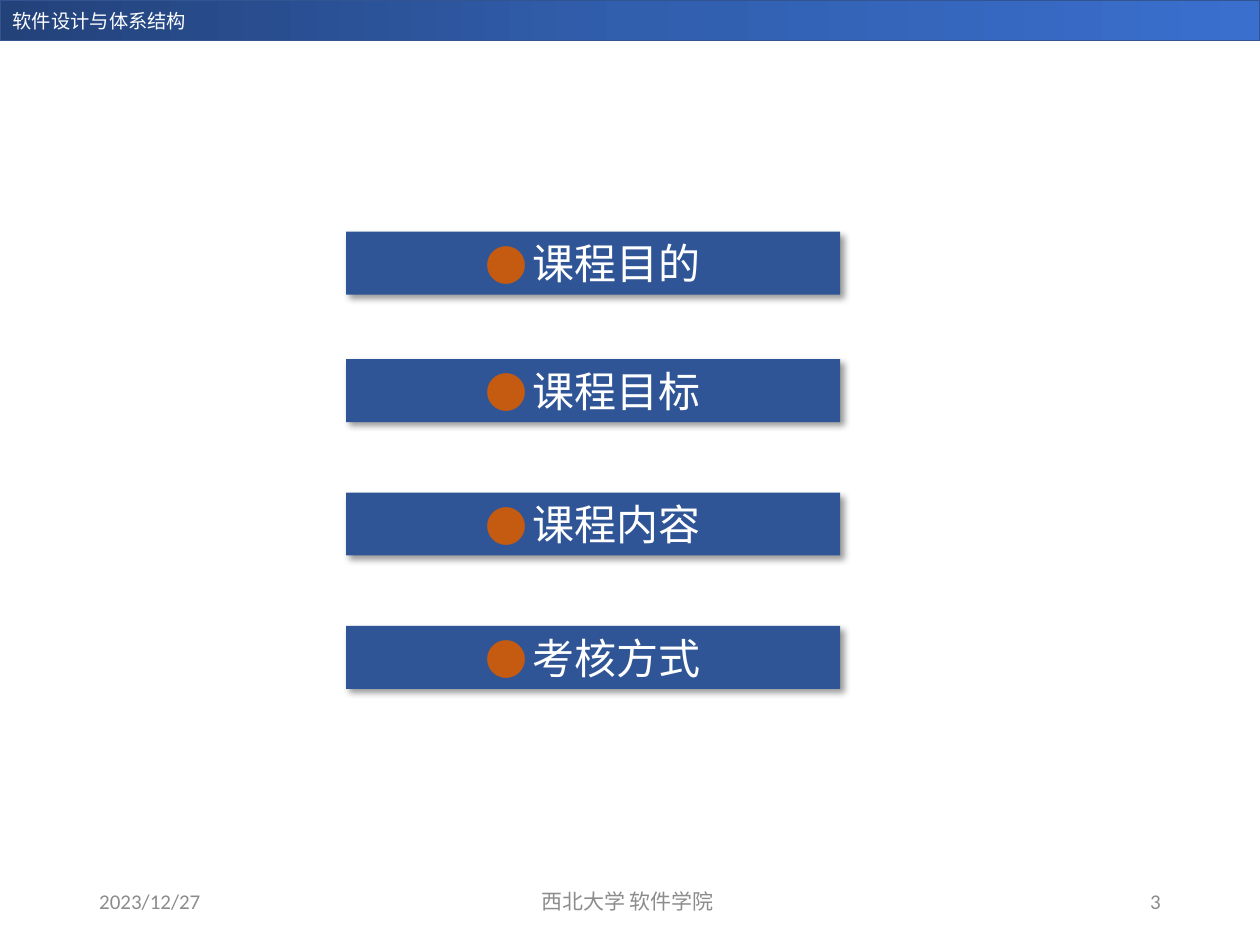
from dataclasses import dataclass

from lxml.etree import SubElement
from pptx import Presentation
from pptx.dml.color import RGBColor
from pptx.enum.dml import MSO_THEME_COLOR as Theme
from pptx.enum.shapes import MSO_SHAPE as Shape
from pptx.enum.text import MSO_ANCHOR as Anchor, MSO_AUTO_SIZE as Auto, PP_ALIGN as Align
from pptx.oxml import parse_xml
from pptx.oxml.ns import nsdecls, qn
from pptx.util import Cm, Pt

WHITE = RGBColor(0xFF, 0xFF, 0xFF)
GRAY = RGBColor(0x8C, 0x8C, 0x8C)
BLUE = RGBColor(0x2F, 0x55, 0x97)
EDGE = RGBColor(0x32, 0x54, 0x91)
ORANGE = RGBColor(0xC5, 0x5A, 0x11)
FADE = ((0, "23427A"), (50, "315EAD"), (100, "3A6FCE"))
LATIN = "Calibri"
HAN = "Noto Sans CJK SC"


@dataclass
class Topic:
    text: str
    top: float


@dataclass
class Note:
    text: str
    left: float
    width: float
    align: Align


TOPICS = [
    Topic("课程目的", 4.67),
    Topic("课程目标", 7.24),
    Topic("课程内容", 9.93),
    Topic("考核方式", 12.62),
]
NOTES = [
    Note("2023/12/27", 1.75, 5.72, Align.LEFT),
    Note("西北大学 软件学院 ", 8.41, 8.58, Align.CENTER),
    Note("3", 17.93, 5.72, Align.RIGHT),
]


def write(shape, text: str, *, size: float, color: RGBColor, font: str = LATIN,
          align: Align = Align.LEFT, pad: float = 0.13):
    """Set the shape's only paragraph and return it."""
    frame = shape.text_frame
    frame.auto_size = Auto.NONE
    frame.word_wrap = True
    frame.vertical_anchor = Anchor.MIDDLE
    frame.margin_top = frame.margin_bottom = Cm(pad)
    para = frame.paragraphs[0]
    para.alignment = align
    run = para.add_run()
    run.text = text
    run.font.size = Pt(size)
    run.font.name = font
    run.font.color.rgb = color
    SubElement(run.font._element, qn("a:ea"), typeface=font)
    return para


def add_bullet(para) -> None:
    props = para._p.get_or_add_pPr()
    props.set("marL", str(Cm(0.95)))
    props.set("indent", str(Cm(-0.95)))
    space = SubElement(props, qn("a:spcBef"))
    SubElement(space, qn("a:spcPct"), val="50000")
    tint = SubElement(props, qn("a:buClr"))
    SubElement(tint, qn("a:srgbClr"), val=str(ORANGE))
    SubElement(props, qn("a:buFont"), typeface=HAN)
    SubElement(props, qn("a:buChar"), char="●")


def add_shadow(shape) -> None:
    shape.shadow.inherit = False
    effects = shape._element.spPr.find(qn("a:effectLst"))
    outer = SubElement(effects, qn("a:outerShdw"), blurRad=str(Pt(4)), dist=str(Pt(3)),
                       dir="2700000", algn="tl", rotWithShape="0")
    tint = SubElement(outer, qn("a:srgbClr"), val="000000")
    SubElement(tint, qn("a:alpha"), val="40000")


def add_header(slide, width: int) -> None:
    bar = slide.shapes.add_shape(Shape.RECTANGLE, 0, 0, width, Cm(0.82))
    bar.shadow.inherit = False
    bar.line.color.rgb = EDGE
    bar.line.width = Pt(1)
    stops = "".join(f'<a:gs pos="{pos * 1000}"><a:srgbClr val="{tint}"/></a:gs>'
                    for pos, tint in FADE)
    bar._element.spPr.insert(2, parse_xml(
        f'<a:gradFill {nsdecls("a")}><a:gsLst>{stops}</a:gsLst><a:lin ang="0"/></a:gradFill>'))
    title = slide.shapes.title
    title.left, title.top, title.width, title.height = 0, Cm(0.05), Cm(6.32), Cm(0.74)
    write(title, "软件设计与体系结构", size=11, color=WHITE)
    title._element.addprevious(bar._element)


def add_topic(slide, topic: Topic) -> None:
    box = slide.shapes.add_shape(Shape.RECTANGLE, Cm(6.98), Cm(topic.top), Cm(9.96), Cm(1.27))
    box.fill.solid()
    box.fill.fore_color.rgb = BLUE
    box.line.fill.background()
    add_shadow(box)
    add_bullet(write(box, topic.text, size=24, color=WHITE, font=HAN,
                     align=Align.CENTER, pad=0))


def add_note(slide, note: Note) -> None:
    box = slide.shapes.add_textbox(Cm(note.left), Cm(17.65), Cm(note.width), Cm(1.02))
    write(box, note.text, size=12, color=GRAY, align=note.align)


def main() -> None:
    deck = Presentation()
    deck.slide_width, deck.slide_height = Cm(25.4), Cm(19.05)
    slide = deck.slides.add_slide(deck.slide_layouts[5])
    slide.background.fill.solid()
    slide.background.fill.fore_color.theme_color = Theme.BACKGROUND_1
    add_header(slide, deck.slide_width)
    for note in NOTES:
        add_note(slide, note)
    for topic in TOPICS:
        add_topic(slide, topic)
    deck.save("out.pptx")


if __name__ == "__main__":
    main()
